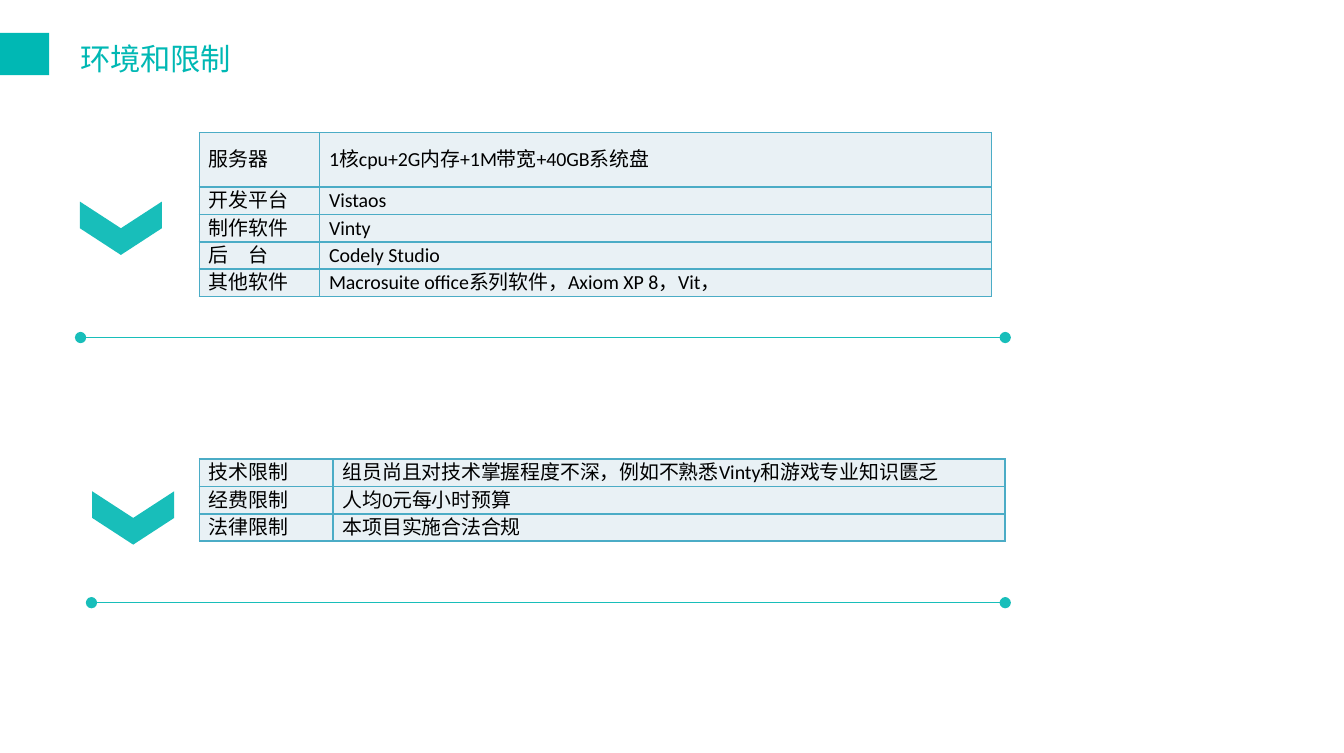
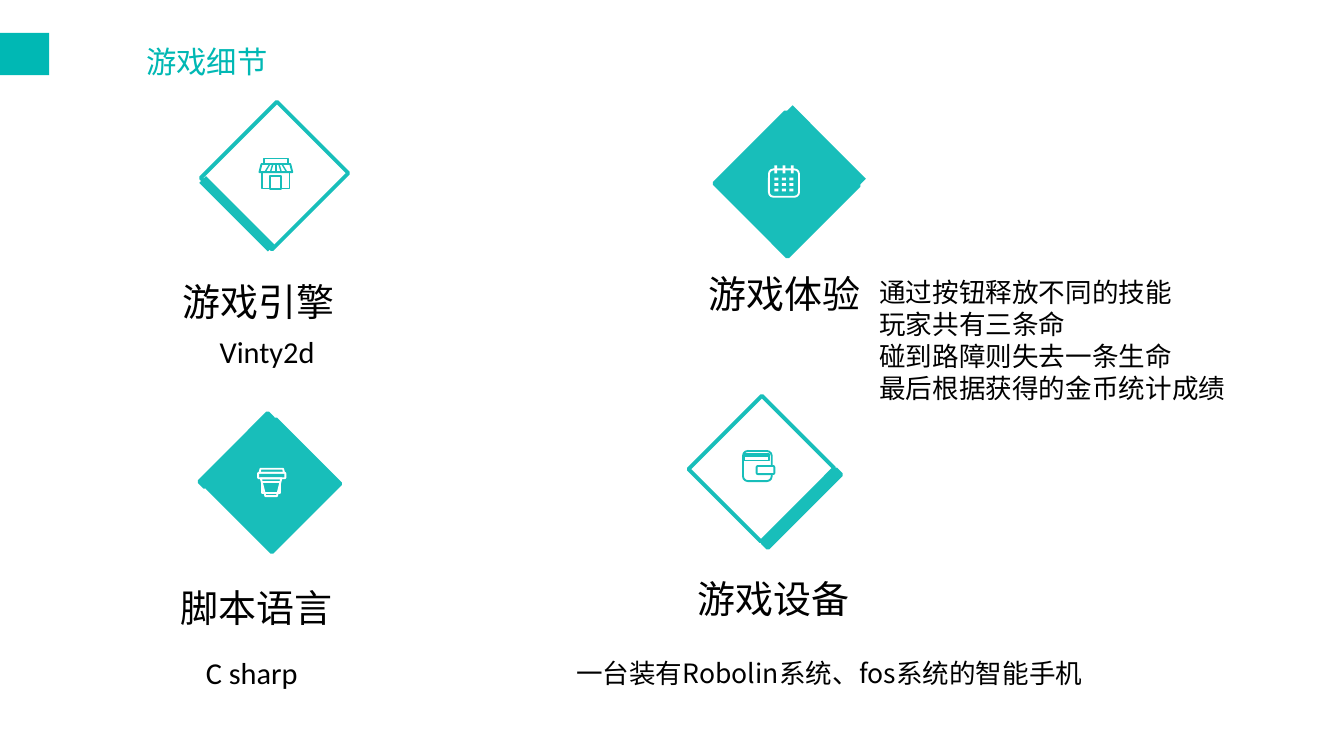
from lxml.etree import SubElement
from pptx import Presentation
from pptx.dml.color import RGBColor
from pptx.enum.shapes import MSO_CONNECTOR as LINK, MSO_SHAPE as SHAPE
from pptx.enum.text import MSO_ANCHOR as ANCHOR, PP_ALIGN as ALIGN
from pptx.oxml.ns import qn
from pptx.util import Inches, Pt

TEAL, BAND, WHITE, BLACK = "18BEBA", "00B8B4", "FFFFFF", "000000"
CELL, BORDER = "E9F1F5", "4BACC6"
CJK, LATIN = "Noto Sans CJK SC", "Calibri"


def draw(slide, preset, box, fill=None, line=None, width=2, rotation=0):
    """Add a preset shape; a missing fill or line stays empty."""
    shape = slide.shapes.add_shape(preset, *map(Inches, box))
    shape.shadow.inherit = False
    shape.rotation = rotation
    if fill:
        shape.fill.solid()
        shape.fill.fore_color.rgb = RGBColor.from_string(fill)
    else:
        shape.fill.background()
    if line:
        shape.line.color.rgb = RGBColor.from_string(line)
        shape.line.width = Pt(width)
    else:
        shape.line.fill.background()
    return shape


def write(frame, text, size, font, color=BLACK, align=ALIGN.LEFT):
    """Set the text of a frame and format every run."""
    frame.text = text
    for paragraph in frame.paragraphs:
        paragraph.alignment = align
        for run in paragraph.runs:
            run.font.size = Pt(size)
            run.font.color.rgb = RGBColor.from_string(color)
            run.font.name = font
            SubElement(run.font._element, qn("a:ea"), typeface=font)


prs = Presentation()
prs.slide_width, prs.slide_height = Inches(9.84), Inches(5.51)

# Shared band and title
slides = []
for heading, box in [("环境和限制", (-0.12, 0.24, 2.52, 0.47)),
                     ("游戏细节", (0.89, 0.26, 1.25, 0.47))]:
    slide = prs.slides.add_slide(prs.slide_layouts[5])
    draw(slide, SHAPE.RECTANGLE, (0, 0.24, 0.36, 0.31), BAND)
    title = slide.shapes.title
    title.left, title.top, title.width, title.height = map(Inches, box)
    frame = title.text_frame
    frame.margin_left = frame.margin_right = 0
    frame.margin_top = frame.margin_bottom = 0
    frame.vertical_anchor = ANCHOR.TOP
    write(frame, heading, 16, CJK, BAND, ALIGN.CENTER)
    frame.paragraphs[0].line_spacing = 1.2
    slides.append(slide)
limits, details = slides

# Environment and limits: chevron, table and rule for each section
environment = [
    ("服务器", "1核cpu+2G内存+1M带宽+40GB系统盘"),
    ("开发平台", "Vistaos"),
    ("制作软件", "Vinty"),
    ("后　台", "Codely Studio"),
    ("其他软件", "Macrosuite office系列软件，Axiom XP 8，Vit，"),
]
constraints = [
    ("技术限制", "组员尚且对技术掌握程度不深，例如不熟悉Vinty和游戏专业知识匮乏"),
    ("经费限制", "人均0元每小时预算"),
    ("法律限制", "本项目实施合法合规"),
]
# rows, table top, label width, first row height, chevron corner, rule start
sections = [
    (environment, 0.97, 0.88, 0.4, (0.69, 1.37), (0.59, 2.47)),
    (constraints, 3.36, 0.98, 0.2, (0.78, 3.49), (0.67, 4.41)),
]
for rows, top, label_width, first_height, chevron, (rule_x, rule_y) in sections:
    draw(limits, SHAPE.CHEVRON, (*chevron, 0.39, 0.6), TEAL, rotation=90)

    rule = limits.shapes.add_connector(
        LINK.STRAIGHT, *map(Inches, (rule_x, rule_y, 7.36, rule_y)))
    rule.line.color.rgb = RGBColor.from_string(TEAL)
    rule.line.width = Pt(0.75)
    for end in ("a:headEnd", "a:tailEnd"):
        SubElement(rule.line._get_or_add_ln(), qn(end), type="oval")
    SubElement(rule._element.spPr, qn("a:effectLst"))

    height = first_height + 0.2 * (len(rows) - 1)
    table = limits.shapes.add_table(
        len(rows), 2, *map(Inches, (1.46, top, label_width + 4.92, height))).table
    table.first_row = table.horz_banding = False
    table.columns[0].width = Inches(label_width)
    table.columns[1].width = Inches(4.92)
    for r, row in enumerate(rows):
        table.rows[r].height = Inches(0.2 if r else first_height)
        for c, text in enumerate(row):
            cell = table.cell(r, c)
            cell.margin_left = cell.margin_right = Inches(0.07)
            cell.margin_top = cell.margin_bottom = 0
            cell.vertical_anchor = ANCHOR.MIDDLE
            write(cell.text_frame, text, 10.5, LATIN, align=ALIGN.JUSTIFY)
            for side in ("a:lnL", "a:lnR", "a:lnT", "a:lnB"):
                edge = SubElement(cell._tc.get_or_add_tcPr(), qn(side), w=str(Pt(1)))
                SubElement(SubElement(edge, qn("a:solidFill")),
                           qn("a:srgbClr"), val=BORDER)
            cell.fill.solid()
            cell.fill.fore_color.rgb = RGBColor.from_string(CELL)

# Game details: tilted squares, each with a thick edge
# square, square fill, edge, edge line, edge rotation
diamonds = [
    ((5.38, 0.98, 0.76, 0.74), TEAL, (6.02, 0.68, 0.06, 0.76), None, 135),
    ((1.64, 0.89, 0.74, 0.79), WHITE, (1.38, 1.53, 0.71, 0.07), None, 45),
    ((1.67, 3.2, 0.67, 0.71), TEAL, (1.7, 2.94, 0.06, 0.71), TEAL, 45),
    ((5.2, 3.05, 0.75, 0.76), WHITE, (5.84, 3.34, 0.06, 0.76), TEAL, 225),
]
for square, fill, edge, edge_line, rotation in diamonds:
    draw(details, SHAPE.RECTANGLE, square, fill, TEAL, rotation=45)
    draw(details, SHAPE.RECTANGLE, edge, TEAL, edge_line, rotation=rotation)

# Icon outlines: preset, box, colour, rotation
outlines = [
    # calendar
    (SHAPE.ROUNDED_RECTANGLE, (5.63, 1.24, 0.22, 0.2), WHITE, 0),
    # shop: sign, awning, walls, door
    (SHAPE.RECTANGLE, (1.93, 1.16, 0.18, 0.04), TEAL, 0),
    (SHAPE.TRAPEZOID, (1.9, 1.2, 0.24, 0.06), TEAL, 0),
    (SHAPE.RECTANGLE, (1.92, 1.26, 0.2, 0.12), TEAL, 0),
    (SHAPE.RECTANGLE, (1.98, 1.29, 0.08, 0.09), TEAL, 0),
    # cup: lid, rim, body, sleeve
    (SHAPE.TRAPEZOID, (1.9, 3.43, 0.18, 0.03), WHITE, 0),
    (SHAPE.ROUNDED_RECTANGLE, (1.89, 3.46, 0.2, 0.04), WHITE, 0),
    (SHAPE.TRAPEZOID, (1.91, 3.5, 0.15, 0.13), WHITE, 180),
    (SHAPE.RECTANGLE, (1.92, 3.53, 0.13, 0.08), WHITE, 0),
    # wallet: body, notes, clasp
    (SHAPE.ROUNDED_RECTANGLE, (5.44, 3.3, 0.21, 0.22), TEAL, 0),
    (SHAPE.RECTANGLE, (5.45, 3.32, 0.18, 0.02), TEAL, 0),
    (SHAPE.RECTANGLE, (5.45, 3.34, 0.18, 0.03), TEAL, 0),
]
for preset, box, color, rotation in outlines:
    draw(details, preset, box, line=color, width=1, rotation=rotation)
draw(details, SHAPE.ROUNDED_RECTANGLE, (5.54, 3.41, 0.13, 0.06), WHITE, TEAL, 1)

# Calendar rings and days
for ring in range(4):
    draw(details, SHAPE.RECTANGLE, (5.67 + 0.06 * ring, 1.21, 0.02, 0.06), WHITE) \
        if ring < 3 else None
for day in range(9):
    week, weekday = divmod(day, 3)
    draw(details, SHAPE.RECTANGLE,
         (5.67 + 0.055 * weekday, 1.3 + 0.04 * week, 0.03, 0.02), WHITE)

# Awning stripes
for offset in (-0.08, -0.04, 0, 0.04, 0.08):
    stripe = details.shapes.add_connector(
        LINK.STRAIGHT, *map(Inches, (2.02 + 0.55 * offset, 1.2, 2.02 + offset, 1.26)))
    stripe.line.color.rgb = RGBColor.from_string(TEAL)
    stripe.line.width = Pt(0.75)
    SubElement(stripe._element.spPr, qn("a:effectLst"))

# Captions: text, box, size, font, wrap
experience = "\n".join(["通过按钮释放不同的技能", "玩家共有三条命",
                        "碰到路障则失去一条生命", "最后根据获得的金币统计成绩"])
captions = [
    ("游戏引擎", (1.24, 1.99, 1.32, 0.44), 20, CJK, False),
    ("Vinty2d", (1.51, 2.39, 0.92, 0.37), 16, LATIN, False),
    ("脚本语言", (1.22, 4.23, 1.32, 0.44), 20, CJK, False),
    ("C sharp", (1.41, 4.74, 0.93, 0.37), 16, LATIN, False),
    ("游戏体验", (5.09, 1.93, 1.32, 0.44), 20, CJK, False),
    (experience, (6.34, 1.97, 2.75, 1.04), 14, CJK, False),
    ("游戏设备", (5.01, 4.16, 1.32, 0.44), 20, CJK, False),
    ("一台装有Robolin系统、fos系统的智能手机", (4.12, 4.76, 3.98, 0.34), 14, CJK, True),
]
for text, box, size, font, wrap in captions:
    caption = details.shapes.add_textbox(*map(Inches, box)).text_frame
    caption.word_wrap = wrap
    write(caption, text, size, font)

prs.save("out.pptx")
